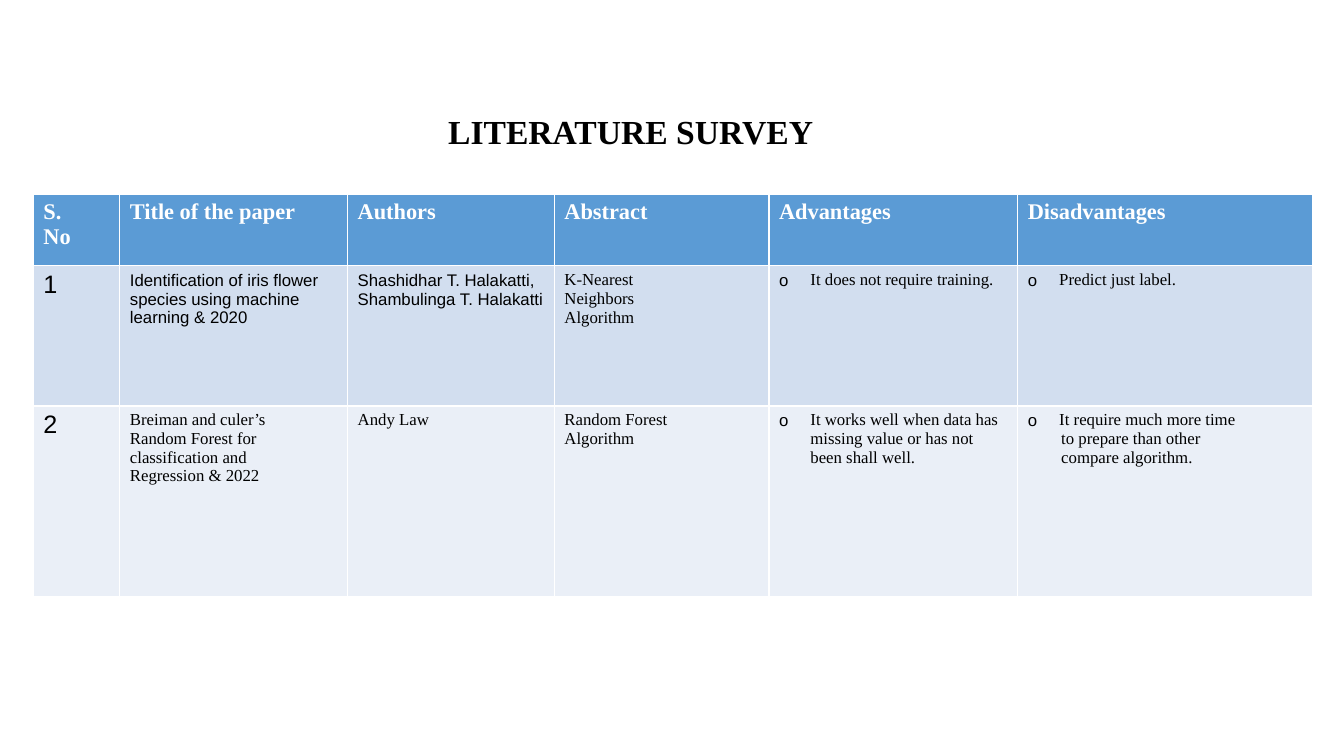
from dataclasses import dataclass

from lxml.etree import SubElement
from pptx import Presentation
from pptx.dml.color import RGBColor
from pptx.enum.text import MSO_ANCHOR, MSO_AUTO_SIZE, PP_ALIGN
from pptx.oxml.ns import qn
from pptx.slide import Slide
from pptx.table import _Cell
from pptx.text.text import _Paragraph
from pptx.util import Cm, Pt


@dataclass(frozen=True)
class Theme:
    serif: str = "Times New Roman"
    sans: str = "Arial"
    black: str = "000000"
    white: str = "FFFFFF"
    head: str = "5B9BD5"
    bands: tuple[str, ...] = ("D2DEEF", "EAEFF7")
    title: int = 24
    label: int = 16
    number: int = 18
    body: int = 12


THEME = Theme()


@dataclass(frozen=True)
class Style:
    name: str
    size: int
    color: str = THEME.black
    bold: bool = False


@dataclass(frozen=True)
class Entry:
    lines: tuple[str, ...]
    style: Style
    point: bool = False


TITLE = Style(THEME.serif, THEME.title, bold=True)
HEAD = Style(THEME.serif, THEME.label, THEME.white, True)
COUNT = Style(THEME.sans, THEME.number)
PLAIN = Style(THEME.sans, THEME.body)
SERIF = Style(THEME.serif, THEME.body)

WIDTHS = (2.18, 5.74, 5.21, 5.41, 6.27, 7.42)
HEIGHTS = (1.8, 3.53, 4.8)
LABELS = (("S.", "No"), ("Title of the paper",), ("Authors",),
          ("Abstract",), ("Advantages",), ("Disadvantages",))
ROWS = (
    tuple(Entry(label, HEAD) for label in LABELS),
    (
        Entry(("1",), COUNT),
        Entry(("Identification of iris flower species using machine learning & 2020",), PLAIN),
        Entry(("Shashidhar T. Halakatti,", "Shambulinga T. Halakatti"), PLAIN),
        Entry(("K-Nearest", "Neighbors", "Algorithm"), SERIF),
        Entry(("It does not require training.",), SERIF, True),
        Entry(("Predict just label.",), SERIF, True),
    ),
    (
        Entry(("2",), COUNT),
        Entry(("Breiman and culer’s", "Random Forest for",
               "classification and", "Regression & 2022"), SERIF),
        Entry(("Andy Law",), SERIF),
        Entry(("Random Forest", "Algorithm"), SERIF),
        Entry(("It works well when data has missing value or has not been shall well.",),
              SERIF, True),
        Entry(("It require much more time", "to prepare than other",
               "compare algorithm."), SERIF, True),
    ),
)


def write(para: _Paragraph, text: str, style: Style) -> None:
    run = para.add_run()
    run.text = text
    looks = {"name": style.name, "size": Pt(style.size), "bold": style.bold}
    for key, value in looks.items():
        setattr(run.font, key, value)
    run.font.color.rgb = RGBColor.from_string(style.color)


def indent(para: _Paragraph, first: bool) -> None:
    props = para._p.get_or_add_pPr()
    props.set("marL", str(Cm(0.79 if first else 0.84)))
    if first:
        props.set("indent", str(Cm(-0.79)))
        SubElement(props, qn("a:buFont"), typeface=THEME.sans)
        SubElement(props, qn("a:buChar"), char="o")


def fill(cell: _Cell, entry: Entry, color: str) -> None:
    cell.fill.solid()
    cell.fill.fore_color.rgb = RGBColor.from_string(color)
    frame = cell.text_frame
    for i, line in enumerate(entry.lines):
        para = frame.add_paragraph() if i else frame.paragraphs[0]
        if entry.point:
            indent(para, i == 0)
        write(para, line, entry.style)


def add_title(slide: Slide, text: str) -> None:
    title = slide.shapes.title
    place = {"left": Cm(2.18), "top": Cm(2.77), "width": Cm(27.43), "height": Cm(2.31)}
    for key, value in place.items():
        setattr(title, key, value)
    frame = title.text_frame
    setup = {"vertical_anchor": MSO_ANCHOR.TOP, "auto_size": MSO_AUTO_SIZE.NONE,
             "word_wrap": True}
    for key, value in setup.items():
        setattr(frame, key, value)
    para = frame.paragraphs[0]
    for key, value in {"alignment": PP_ALIGN.CENTER, "line_spacing": 0.9}.items():
        setattr(para, key, value)
    write(para, text, TITLE)


def add_survey(slide: Slide) -> None:
    table = slide.shapes.add_table(
        len(ROWS), len(WIDTHS), Cm(0.84), Cm(4.9),
        Cm(sum(WIDTHS)), Cm(sum(HEIGHTS))).table
    for column, width in zip(table.columns, WIDTHS):
        column.width = Cm(width)
    colors = (THEME.head, *THEME.bands)
    for row, height, color, entries in zip(table.rows, HEIGHTS, colors, ROWS):
        row.height = Cm(height)
        for cell, entry in zip(row.cells, entries):
            fill(cell, entry, color)


def main() -> None:
    deck = Presentation()
    deck.slide_width, deck.slide_height = Cm(33.87), Cm(19.05)
    slide = deck.slides.add_slide(deck.slide_layouts[5])
    add_title(slide, "LITERATURE SURVEY")
    add_survey(slide)
    deck.save("out.pptx")


if __name__ == "__main__":
    main()
